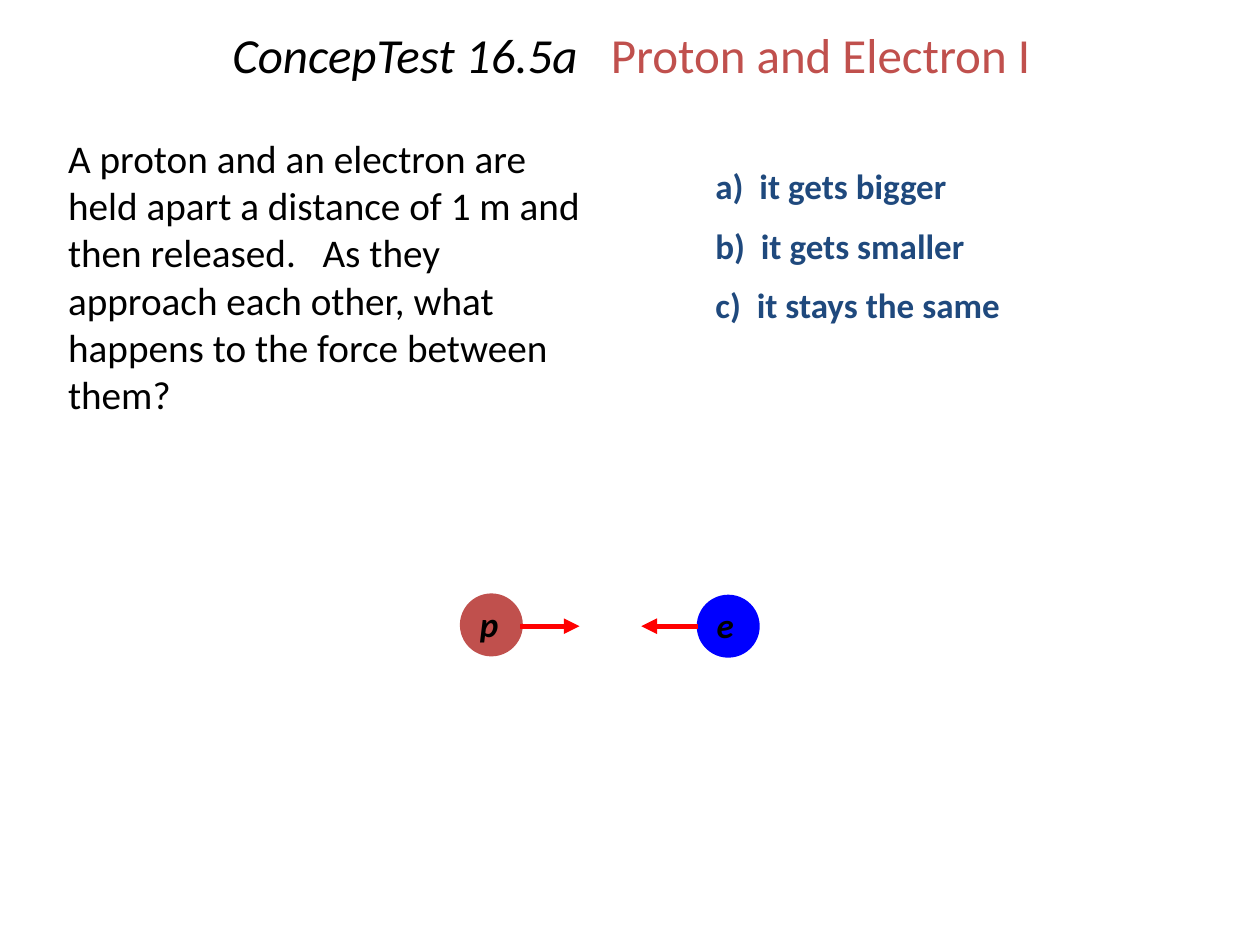
from dataclasses import dataclass

from lxml import etree
from pptx import Presentation
from pptx import util as u
from pptx.dml import color
from pptx.enum import shapes, text
from pptx.oxml import ns


@dataclass(frozen=True)
class Theme:
    font: str = "Calibri"
    ink: str = "000000"
    accent: str = "C0504D"
    answer: str = "1F497D"
    electron: str = "0000FF"
    force: str = "FF0000"
    title_size: float = 28
    question_size: float = 22.4
    answer_size: float = 20
    label_size: float = 20
    arrow_width: float = 3


class QuizSlide:
    """Holds the theme and the current slide, and draws each kind of element."""

    def __init__(self, page, theme):
        self.page = page
        self.theme = theme

    def style(self, span, size, tint, bold=False, italic=False):
        font = span.font
        font.name = self.theme.font
        font.size = u.Pt(size)
        font.bold = bold
        font.italic = italic
        font.color.rgb = color.RGBColor.from_string(tint)

    def box(self, left, top, width, height, wrap=True):
        box = self.page.shapes.add_textbox(*map(u.Inches, (left, top, width, height)))
        box.text_frame.word_wrap = wrap
        return box.text_frame

    def title(self, number, topic):
        frame = self.box(1.02, 0, 7.98, 0.92)
        frame.vertical_anchor = text.MSO_ANCHOR.MIDDLE
        para = frame.paragraphs[0]
        para.alignment = text.PP_ALIGN.CENTER
        para.line_spacing = 0.9
        for words, tint, italic in ((number, self.theme.ink, True),
                                    (topic, self.theme.accent, False)):
            span = para.add_run()
            span.text = words
            self.style(span, self.theme.title_size, tint, italic=italic)

    def question(self, words):
        frame = self.box(0, 1.02, 4.85, 2.59)
        frame.margin_left = u.Inches(0.54)
        frame.text = words
        self.style(frame.paragraphs[0].runs[0], self.theme.question_size, self.theme.ink)

    def answers(self, choices):
        frame = self.box(5.58, 1.19, 4.16, 1.94)
        frame.text = "\n".join(choices)
        for index, para in enumerate(frame.paragraphs):
            para.line_spacing = 1.2
            para.space_before = u.Pt(5.3 if index else 0)
            self.style(para.runs[0], self.theme.answer_size, self.theme.answer, bold=True)

    def particle(self, left, top, letter, tint):
        ball = self.page.shapes.add_shape(
            shapes.MSO_SHAPE.OVAL, *map(u.Inches, (left, top, 0.5, 0.5)))
        ball.shadow.inherit = False
        ball.fill.solid()
        ball.fill.fore_color.rgb = color.RGBColor.from_string(tint)
        ball.line.fill.background()
        frame = self.box(left + 0.06, top + 0.02, 0.37, 0.43, wrap=False)
        frame.auto_size = text.MSO_AUTO_SIZE.SHAPE_TO_FIT_TEXT
        frame.text = letter
        self.style(frame.paragraphs[0].runs[0], self.theme.label_size,
                   self.theme.ink, bold=True, italic=True)

    def arrow(self, start, end, level):
        arrow = self.page.shapes.add_connector(
            shapes.MSO_CONNECTOR.STRAIGHT, *map(u.Inches, (start, level, end, level)))
        arrow.line.width = u.Pt(self.theme.arrow_width)
        arrow.line.color.rgb = color.RGBColor.from_string(self.theme.force)
        etree.SubElement(arrow.line._get_or_add_ln(), ns.qn("a:tailEnd"), type="triangle")
        etree.SubElement(arrow._element.spPr, ns.qn("a:effectLst"))


def main():
    theme = Theme()
    deck = Presentation()
    deck.slide_width, deck.slide_height = u.Inches(10), u.Inches(7.5)
    quiz = QuizSlide(deck.slides.add_slide(deck.slide_layouts[6]), theme)
    quiz.title("ConcepTest 16.5a   ", "Proton and Electron I")
    quiz.question("A proton and an electron are held apart a distance of 1 m and then "
                  "released.   As they approach each other, what happens to the force "
                  "between them?")
    quiz.answers(["a)  it gets bigger", "b)  it gets smaller", "c)  it stays the same"])
    quiz.particle(3.65, 4.71, "p", theme.accent)
    quiz.particle(5.53, 4.72, "e", theme.electron)
    for start, end in ((4.13, 4.6), (5.54, 5.09)):
        quiz.arrow(start, end, 4.97)
    deck.save("out.pptx")


if __name__ == "__main__":
    main()
